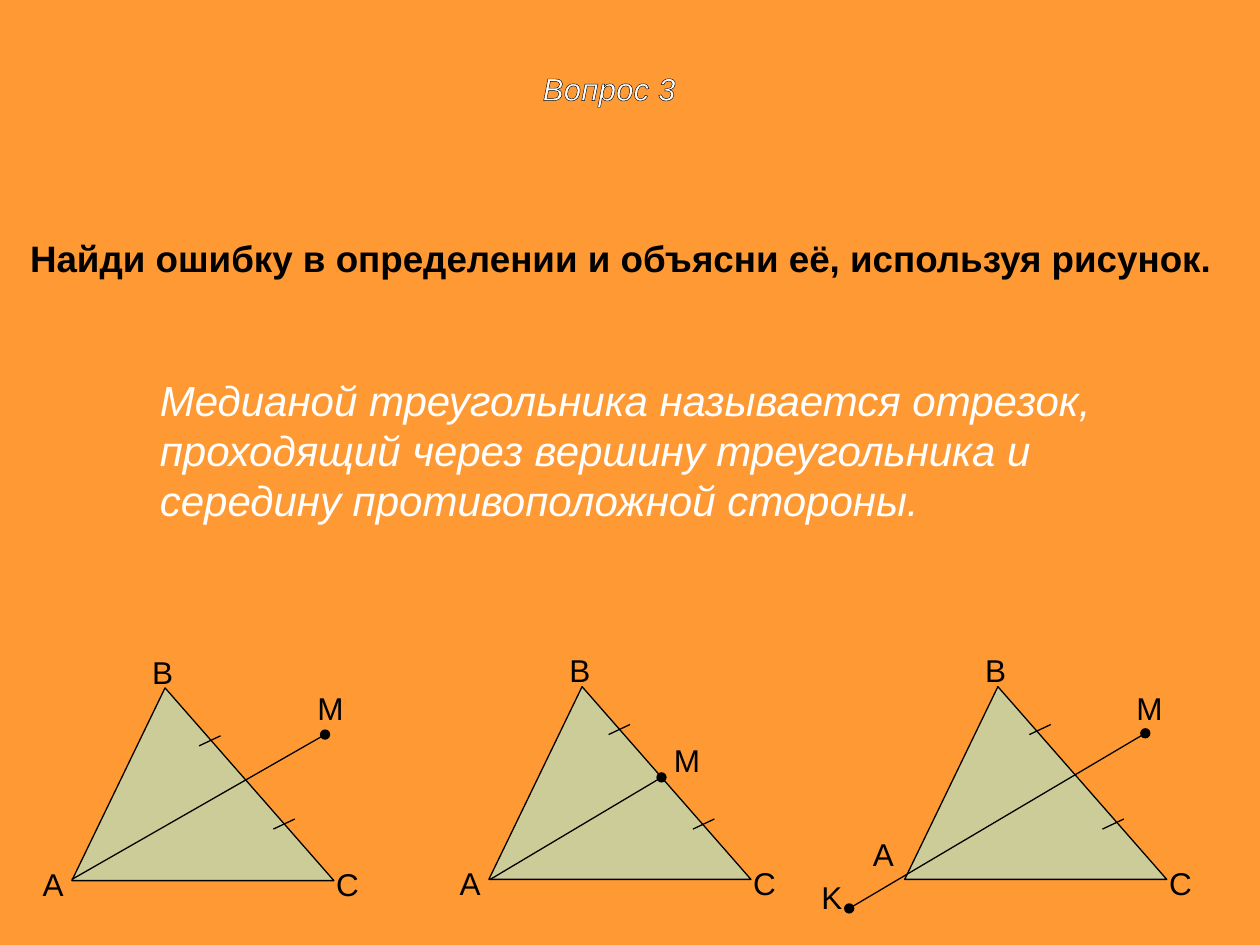
from lxml.etree import SubElement
from pptx import Presentation
from pptx.dml.color import RGBColor
from pptx.enum.shapes import MSO_CONNECTOR as Connector
from pptx.enum.text import PP_ALIGN as Align
from pptx.oxml import parse_xml
from pptx.oxml.ns import nsdecls, qn
from pptx.util import Inches, Pt

ORANGE = RGBColor(0xFF, 0x99, 0x33)
KHAKI = RGBColor(0xCC, 0xCC, 0x99)
BLACK = RGBColor(0, 0, 0)
WHITE = RGBColor(0xFF, 0xFF, 0xFF)


class GeometrySlide:
    """Draws styled text, triangles and segments on one slide."""

    font_name = "Arial"
    stroke = Pt(0.75)

    def __init__(self, slide):
        self.slide = slide
        slide.background.fill.solid()
        slide.background.fill.fore_color.rgb = ORANGE

    def text(self, words, left, top, width, height, size=18, color=BLACK,
             bold=False, italic=False, align=Align.LEFT):
        box = self.slide.shapes.add_textbox(
            Inches(left), Inches(top), Inches(width), Inches(height))
        box.text_frame.word_wrap = True
        box.text_frame.text = words
        paragraph = box.text_frame.paragraphs[0]
        paragraph.alignment = align
        run = paragraph.runs[0]
        run.font.name = self.font_name
        run.font.size = Pt(size)
        run.font.color.rgb = color
        run.font.bold = bold
        run.font.italic = italic
        return run

    def outlined_text(self, words, *place, **style):
        run = self.text(words, *place, **style)
        outline = parse_xml(
            f'<a:ln {nsdecls("a")} w="{self.stroke}"><a:solidFill>'
            f'<a:srgbClr val="{BLACK}"/></a:solidFill></a:ln>')
        run.font._element.insert(0, outline)

    def label(self, letter, left, top):
        self.text(letter, left, top, 0.33, 0.4)

    def triangle(self, x, y, a_offset=(-0.33, -0.17)):
        builder = self.slide.shapes.build_freeform(Inches(x), Inches(y))
        builder.add_line_segments(
            [(Inches(x + 2.08), Inches(y)), (Inches(x + 0.74), Inches(y - 1.53))],
            close=True)
        shape = builder.convert_to_shape()
        shape.shadow.inherit = False
        shape.fill.solid()
        shape.fill.fore_color.rgb = KHAKI
        shape.line.color.rgb = BLACK
        shape.line.width = self.stroke
        offsets = {"A": a_offset, "B": (0.54, -1.86), "C": (2, -0.17)}
        for letter, (dx, dy) in offsets.items():
            self.label(letter, x + dx, y + dy)

    def segment(self, start, end, dots=()):
        line = self.slide.shapes.add_connector(
            Connector.STRAIGHT, *map(Inches, start + end))
        line.line.color.rgb = BLACK
        line.line.width = self.stroke
        properties = line._element.spPr
        for dot in dots:
            SubElement(properties.find(qn("a:ln")), qn(f"a:{dot}"), type="oval")
        SubElement(properties, qn("a:effectLst"))

    def tick(self, x, y):
        self.segment((x, y), (x + 0.17, y - 0.08))


def main():
    deck = Presentation()
    deck.slide_width, deck.slide_height = Inches(10), Inches(7.5)
    question = GeometrySlide(deck.slides.add_slide(deck.slide_layouts[6]))

    question.outlined_text("Вопрос 3", 3.25, 0.5, 3.17, 0.92,
                           color=WHITE, italic=True, align=Align.CENTER)

    question.triangle(0.57, 6.99)
    question.triangle(3.88, 6.98)
    question.triangle(7.18, 6.98, a_offset=(-0.35, -0.4))

    question.segment((0.57, 6.98), (2.58, 5.83), ["tailEnd"])
    question.segment((3.89, 6.98), (5.25, 6.17), ["tailEnd"])
    question.segment((6.74, 7.21), (9.09, 5.82), ["headEnd", "tailEnd"])

    for letter, left, top in [("M", 2.42, 5.42), ("M", 5.25, 5.83),
                              ("K", 6.42, 6.92), ("M", 8.92, 5.42)]:
        question.label(letter, left, top)

    for x, y in [(1.58, 5.92), (2.17, 6.58), (4.83, 5.83),
                 (5.5, 6.58), (8.17, 5.83), (8.75, 6.58)]:
        question.tick(x, y)

    question.text("Найди ошибку в определении и объясни её, используя рисунок.",
                  0.14, 1.82, 9.67, 0.45, size=21, bold=True)
    question.text("Медианой треугольника называется отрезок, проходящий через "
                  "вершину треугольника и середину противоположной стороны.",
                  1.17, 2.92, 7.92, 1.3, size=24, color=WHITE, italic=True)

    deck.save("out.pptx")


if __name__ == "__main__":
    main()
